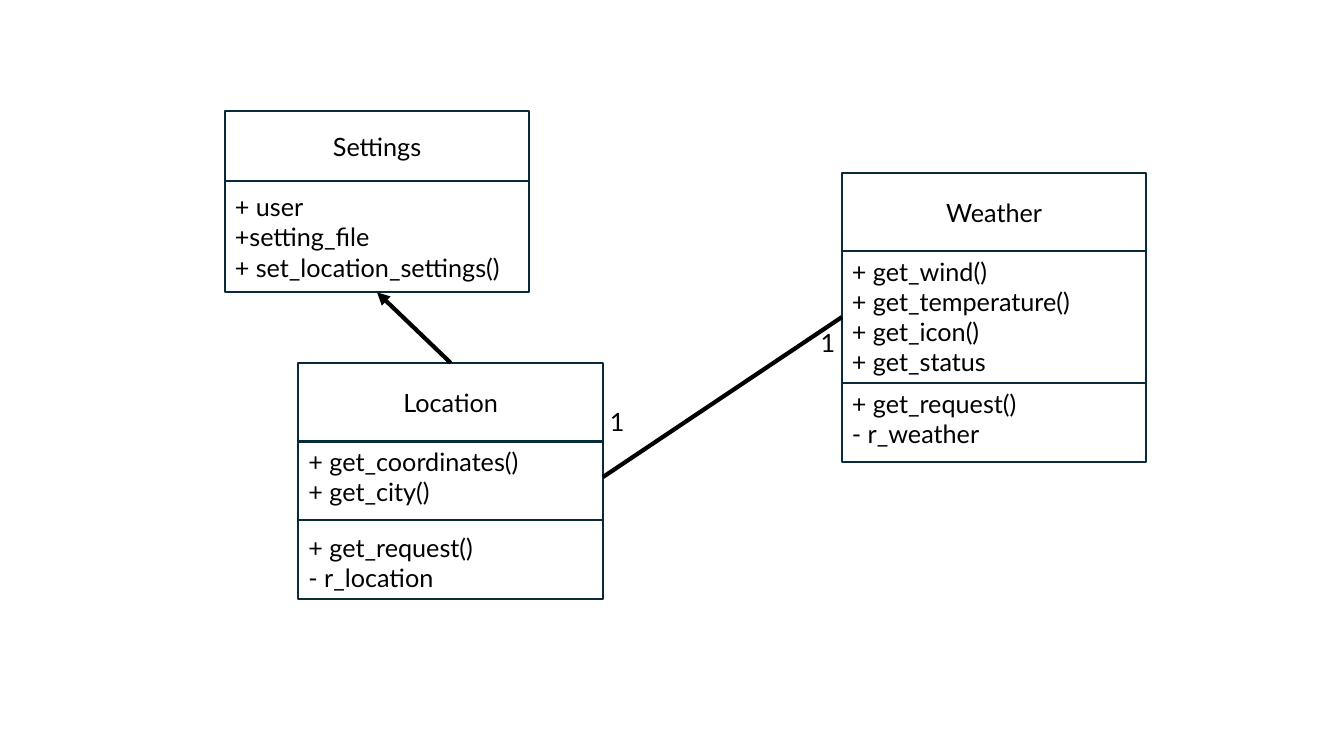
from dataclasses import dataclass

from lxml.etree import SubElement
from pptx import Presentation
from pptx.dml.color import RGBColor
from pptx.enum.shapes import MSO_CONNECTOR as Connector, MSO_SHAPE as Preset
from pptx.enum.text import MSO_ANCHOR as Anchor, MSO_AUTO_SIZE as AutoSize, PP_ALIGN as Align
from pptx.oxml.ns import qn
from pptx.util import Inches, Pt

TOP, LEFT, BOTTOM, RIGHT = range(4)


@dataclass(frozen=True)
class Theme:
    font: str = "Lato"
    size: float = 18
    ink: str = "000000"
    paper: str = "FFFFFF"
    border: str = "092A39"
    border_width: float = 1.5
    link_width: float = 3


class ClassDiagram:
    """Draws on a grid of cells a tenth of an inch wide and high."""
    CELL = Inches(0.1)
    CLASS_COLUMNS = 30.2

    def __init__(self, page, theme):
        self.page, self.theme = page, theme

    def cells(self, *lengths):
        return [round(length * self.CELL) for length in lengths]

    def fill_text(self, shape, lines, align=Align.LEFT, **frame_format):
        frame = shape.text_frame
        for name, value in {"word_wrap": True, **frame_format}.items():
            setattr(frame, name, value)
        frame.text = "\n".join(lines)
        font_format = {"name": self.theme.font, "size": Pt(self.theme.size)}
        for para in frame.paragraphs:
            para.alignment = align
            for span in para.runs:
                for name, value in font_format.items():
                    setattr(span.font, name, value)
                span.font.color.rgb = RGBColor.from_string(self.theme.ink)

    def label(self, column, row, columns, rows, lines, parent=None):
        box = (parent or self.page).shapes.add_textbox(*self.cells(column, row, columns, rows))
        self.fill_text(box, lines, auto_size=AutoSize.SHAPE_TO_FIT_TEXT)
        return box

    def compartment(self, parent, column, row, rows):
        box = parent.shapes.add_shape(
            Preset.RECTANGLE, *self.cells(column, row, self.CLASS_COLUMNS, rows))
        box.shadow.inherit = False
        box.fill.solid()
        box.fill.fore_color.rgb = RGBColor.from_string(self.theme.paper)
        box.line.color.rgb = RGBColor.from_string(self.theme.border)
        box.line.width = Pt(self.theme.border_width)
        return box

    def class_box(self, name, column, row, title_rows, sections):
        """Sections are (rows, text drop, lines); returns the title, then (box, label) pairs."""
        group = self.page.shapes.add_group_shape()
        title = self.compartment(group, column, row, title_rows)
        self.fill_text(title, [name], Align.CENTER, vertical_anchor=Anchor.MIDDLE)
        row += title_rows
        parts = []
        for rows, drop, lines in sections:
            box = self.compartment(group, column, row, rows)
            text = self.label(column, row + drop, self.CLASS_COLUMNS,
                              1 + 3.03 * len(lines), lines, group)
            parts.append((box, text))
            row += rows
        return title, parts

    def link(self, start, start_side, end, end_side, arrow=False):
        line = self.page.shapes.add_connector(Connector.STRAIGHT, 0, 0, 0, 0)
        line.begin_connect(start, start_side)
        line.end_connect(end, end_side)
        line.line.color.rgb = RGBColor.from_string(self.theme.ink)
        line.line.width = Pt(self.theme.link_width)
        if arrow:
            SubElement(line.get_or_add_ln(), qn("a:tailEnd"), type="triangle")
        SubElement(line.element.spPr, qn("a:effectLst"))


def main():
    deck = Presentation()
    deck.slide_width, deck.slide_height = Inches(13.33), Inches(7.5)
    diagram = ClassDiagram(deck.slides.add_slide(deck.slide_layouts[6]), Theme())

    _, [(settings_body, _)] = diagram.class_box("Settings", 22.3, 11, 7, [
        (11, 0.5, ["+ user", "+setting_file", "+ set_location_settings()"]),
    ])
    location_title, [(_, location_getters), _] = diagram.class_box("Location", 29.6, 36, 7.8, [
        (7.8, 0, ["+ get_coordinates()", "+ get_city()"]),
        (7.8, 0.7, ["+ get_request()", "- r_location"]),
    ])
    _, [(_, weather_getters), _] = diagram.class_box("Weather", 83.5, 17.2, 7.7, [
        (13.1, 0, ["+ get_wind()", "+ get_temperature()", "+ get_icon()", "+ get_status"]),
        (7.8, 0, ["+ get_request()", "- r_weather"]),
    ])

    diagram.link(location_title, TOP, settings_body, BOTTOM, arrow=True)
    diagram.label(59.5, 39.8, 3.9, 4, ["1"])
    diagram.label(80.4, 32, 2.3, 4, ["1"])
    diagram.link(location_getters, RIGHT, weather_getters, LEFT)
    deck.save("out.pptx")


if __name__ == "__main__":
    main()
